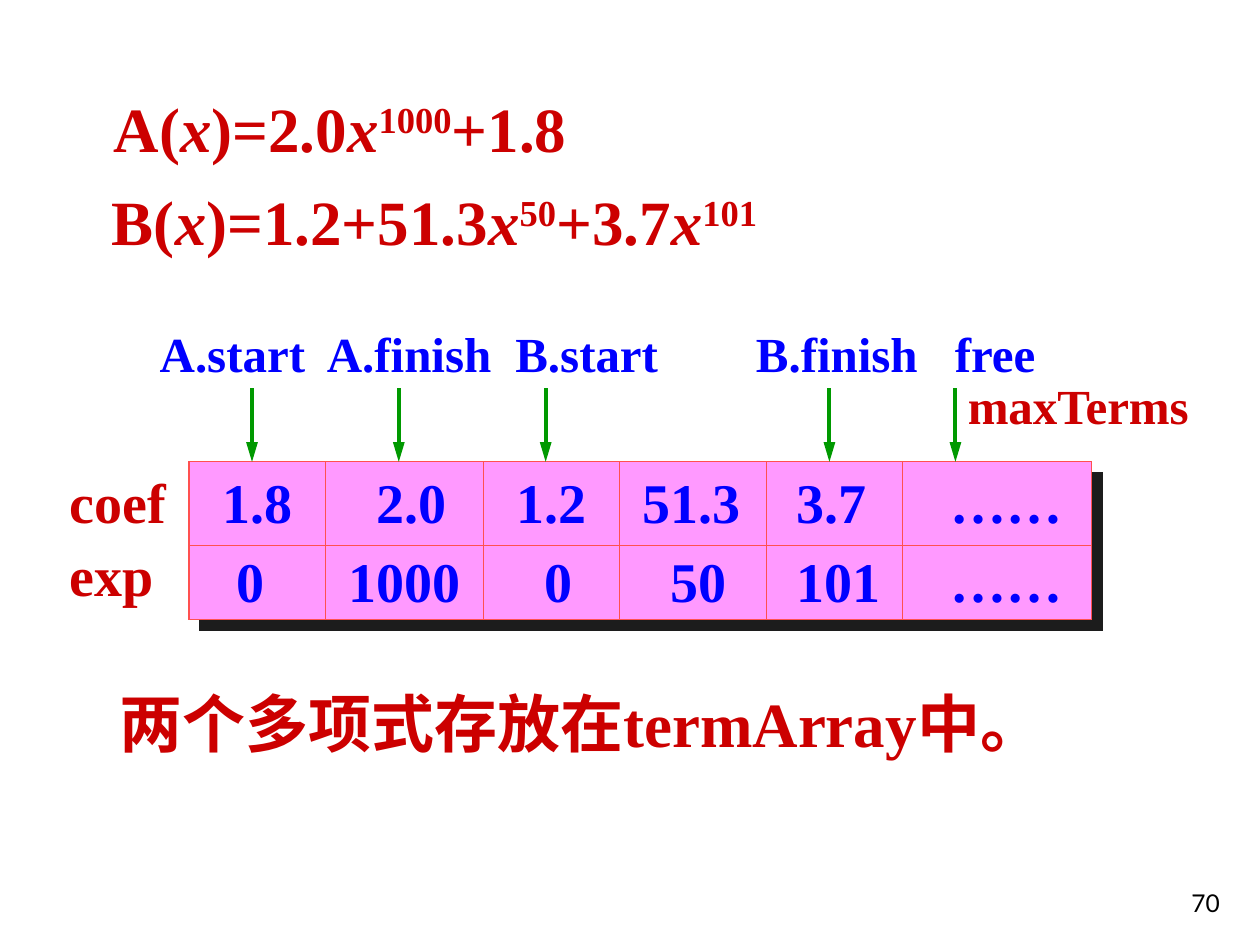
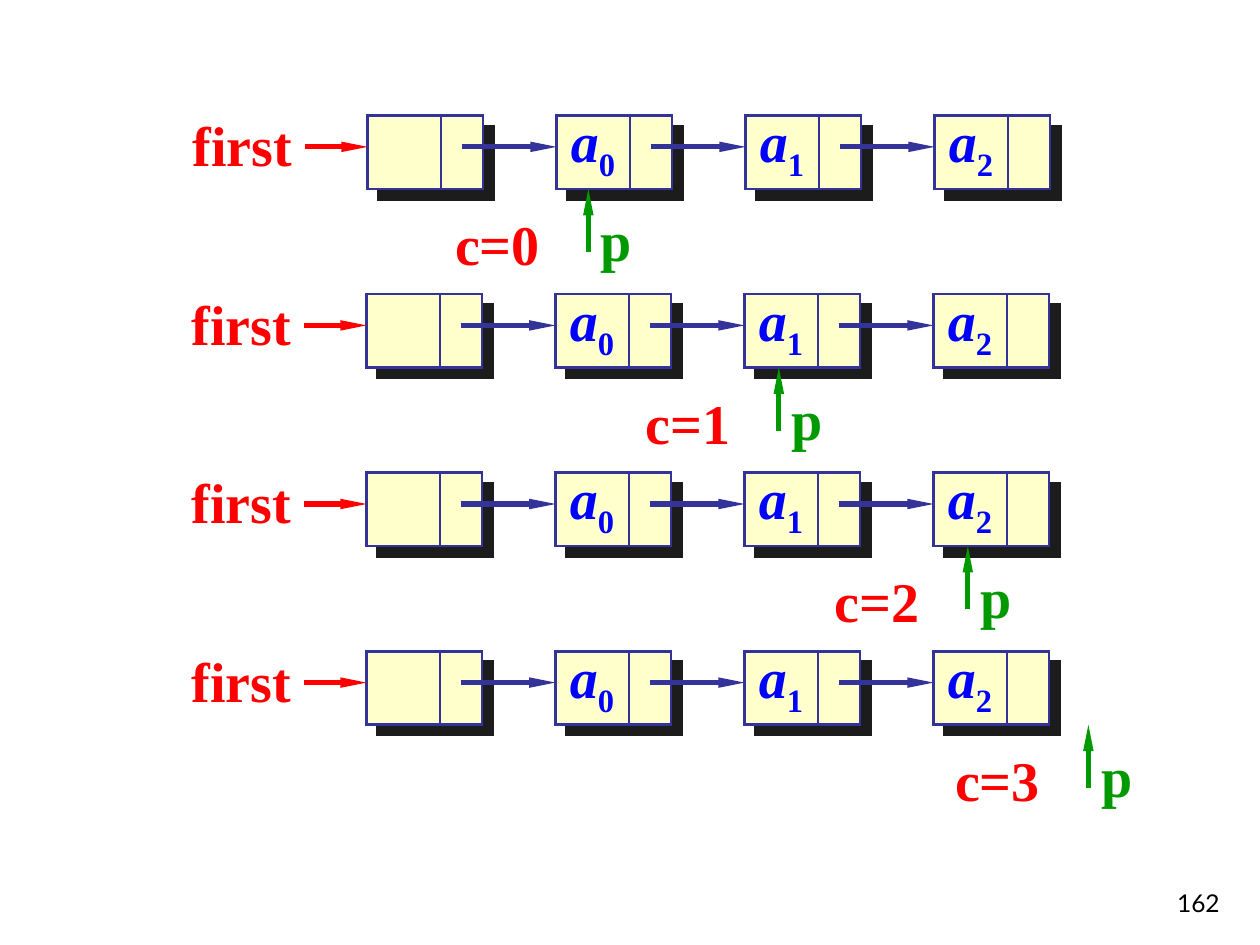
"""Build two slides on polynomial storage and linked list traversal."""
from dataclasses import dataclass, replace
from itertools import accumulate

from lxml.etree import SubElement
from pptx import Presentation
from pptx.dml.color import RGBColor
from pptx.enum.shapes import MSO_CONNECTOR, MSO_SHAPE
from pptx.enum.text import MSO_ANCHOR, MSO_AUTO_SIZE, PP_ALIGN
from pptx.oxml.ns import qn
from pptx.util import Cm, Pt

SERIF, SANS = "Times New Roman", "Lato"
CRIMSON, RED, BLUE, GREEN = "CC0000", "FF0000", "0000FF", "009900"
NAVY, CREAM, PINK, CORAL = "333399", "FFFFCC", "FF99FF", "FF5050"
SHADOW, BLACK = "1C1C1C", "000000"


@dataclass(frozen=True)
class Style:
    """Text format of one run."""
    size: float
    color: str
    italic: bool = False
    base: int = 0
    bold: bool = True
    font: str = SERIF


@dataclass(frozen=True)
class Box:
    """Place of an object in centimetres."""
    x: float
    y: float
    w: float
    h: float

    def lengths(self) -> list:
        """Return the place as lengths."""
        return [Cm(v) for v in (self.x, self.y, self.w, self.h)]


@dataclass(frozen=True)
class Arrow:
    """Line format with an optional arrowhead width."""
    color: str
    width: float
    head: str = ""


@dataclass(frozen=True)
class Step:
    """One traversal state: the counter, the list's left edge and p."""
    count: int
    left: float
    p_x: float


def rgb(color: str) -> RGBColor:
    """Turn a hex string into a colour."""
    return RGBColor.from_string(color)


def set_all(obj, values: dict) -> None:
    """Set each attribute from a dict."""
    for name, value in values.items():
        setattr(obj, name, value)


def add_runs(p, runs: list) -> None:
    """Fill a paragraph with (text, style) runs."""
    for text, st in runs:
        r = p.add_run()
        r.text = text
        set_all(r.font, {"name": st.font, "size": Pt(st.size),
                         "bold": st.bold, "italic": st.italic})
        r.font.color.rgb = rgb(st.color)
        if st.base:
            r.font._element.set("baseline", str(st.base * 1000))


def add_text(s, box: Box, paras: list, align=PP_ALIGN.LEFT, anchor=MSO_ANCHOR.TOP,
             wrap: bool = False, before: int = 20, lines: float = 0,
             tabs: tuple = ()) -> None:
    """Add a text box with percent spacing and tab stops per paragraph."""
    tf = s.shapes.add_textbox(*box.lengths()).text_frame
    set_all(tf, {"word_wrap": wrap, "vertical_anchor": anchor,
                 "auto_size": MSO_AUTO_SIZE.SHAPE_TO_FIT_TEXT})
    for i, runs in enumerate(paras):
        p = tf.add_paragraph() if i else tf.paragraphs[0]
        p.alignment = align
        if lines:
            p.line_spacing = lines
        pPr = p._p.get_or_add_pPr()
        gap = SubElement(pPr, qn("a:spcBef"))
        SubElement(gap, qn("a:spcPct"), val=str(before * 1000))
        if tabs:
            stops = SubElement(pPr, qn("a:tabLst"))
            for x in tabs[i]:
                SubElement(stops, qn("a:tab"), pos=str(int(Cm(x))), algn="l")
        add_runs(p, runs)


def add_label(s, box: Box, runs: list) -> None:
    """Add a centred one-line label."""
    add_text(s, box, [runs], PP_ALIGN.CENTER, MSO_ANCHOR.MIDDLE)


def add_line(s, x1: float, y1: float, x2: float, y2: float, look: Arrow) -> None:
    """Add a straight line, with an arrowhead if the look has one."""
    c = s.shapes.add_connector(MSO_CONNECTOR.STRAIGHT, *map(Cm, (x1, y1, x2, y2)))
    c.line.color.rgb = rgb(look.color)
    c.line.width = Pt(look.width)
    spPr = c._element.spPr
    if look.head:
        SubElement(spPr.find(qn("a:ln")), qn("a:tailEnd"),
                   type="triangle", w=look.head, len="lg")
    SubElement(spPr, qn("a:effectLst"))


def add_panel(s, box: Box, fill: str, line: str, width: float) -> None:
    """Add a sharp-cornered rectangle with a hard diagonal shadow."""
    sp = s.shapes.add_shape(MSO_SHAPE.RECTANGLE, *box.lengths())
    sp.fill.solid()
    sp.fill.fore_color.rgb = rgb(fill)
    sp.line.color.rgb = rgb(line)
    sp.line.width = Pt(width)
    sp.shadow.inherit = False
    spPr = sp._element.spPr
    SubElement(spPr.find(qn("a:ln")), qn("a:miter"), lim="800000")
    shadow = SubElement(spPr.find(qn("a:effectLst")), qn("a:outerShdw"), blurRad="0",
                        dist=str(int(Pt(8.5))), dir="2700000", algn="ctr",
                        rotWithShape="0")
    SubElement(shadow, qn("a:srgbClr"), val=SHADOW)


def new_slide(prs, number: int):
    """Add a blank slide with its page number."""
    s = prs.slides.add_slide(prs.slide_layouts[6])
    style = Style(14, BLACK, bold=False, font=SANS)
    add_text(s, Box(19.56, 17.35, 5.28, 1.27), [[(str(number), style)]],
             PP_ALIGN.RIGHT, MSO_ANCHOR.BOTTOM, wrap=True, before=0)
    return s


def draw_term_array(s, box: Box, widths: tuple, split: float) -> None:
    """Draw the term array: panel, field names, values and grid lines."""
    add_panel(s, box, PINK, CORAL, 0.75)
    names = [[(name, Style(32, CRIMSON))] for name in ("coef", "exp")]
    add_text(s, Box(1.15, box.y, 2.49, 3.12), names, before=10)
    rows = (("1.8", "2.0", "1.2", "51.3", "3.7", "……"),
            (" 0", "1000", "0", "50", "101", "……"))
    add_text(s, Box(4.24, box.y, 17.6, 3.28),
             [[("\t".join(row), Style(32, BLUE))] for row in rows],
             tabs=((3.1, 5.93, 8.47, 11.57, 14.68), (2.54, 6.49, 9.03, 11.57, 14.68)))
    grid = Arrow(CORAL, 0.75)
    add_line(s, box.x, box.y + split, box.x + box.w, box.y + split, grid)
    for dx in accumulate(widths):
        add_line(s, box.x + dx, box.y, box.x + dx, box.y + box.h, grid)


def term_array_slide(prs) -> None:
    """Show two polynomials stored in one array."""
    s = new_slide(prs, 70)
    up = Style(36, CRIMSON)
    x = ("x", replace(up, italic=True))
    power = replace(up, base=30)
    formulas = [
        [(" ", Style(40, CRIMSON, True)), ("A(", up), x, (")=2.0", up), x,
         ("1000", power), ("+1.8", up)],
        [(" ", x[1]), ("B(", up), x, (")=1.2+51.3", up), x, ("50", power),
         ("+3.7", up), x, ("101", power)],
    ]
    add_text(s, Box(1.69, 1.45, 17.35, 3.99), formulas, wrap=True, lines=1.05)
    add_text(s, Box(1.9, 13.67, 20.3, 1.8),
             [[(" ", Style(32, CRIMSON)), ("两个多项式存放在termArray中。", up)]])
    pointers = ("A.start", "A.finish", "B.start", "B.finish", "free")
    add_text(s, Box(2.97, 6.4, 18.36, 1.45), [[("\t".join(pointers), Style(28, BLUE))]],
             tabs=((3.37, 7.17, 12.02, 16.03),))
    top = 9.31
    draw_term_array(s, Box(3.81, top, 18.2, 3.18), (2.75, 3.18, 2.75, 2.96, 2.75), 1.69)
    for pointer_x in (5.08, 8.04, 11.0, 16.72, 19.26):
        add_line(s, pointer_x, 7.83, pointer_x, top, Arrow(GREEN, 2.25, "med"))
    add_text(s, Box(19.26, 7.44, 5.03, 1.45), [[("maxTerms", Style(28, CRIMSON))]])


def draw_list(s, y: float, step: Step) -> None:
    """Draw the linked list with its first and p pointers."""
    left, pitch, w, h = step.left, 3.81, 2.33, 1.48
    link_y, label_y = y + 0.63, y - 0.22
    for i in range(4):
        x = left + i * pitch
        add_panel(s, Box(x, y, w, h), CREAM, NAVY, 1.5)
        if i < 3:
            add_line(s, x + 1.9, link_y, x + pitch, link_y, Arrow(NAVY, 3, "sm"))
        add_line(s, x + 1.48, y, x + 1.48, y + h, Arrow(NAVY, 1.5))
        if i:
            add_label(s, Box(x, label_y, 1.47, 1.62),
                      [("a", Style(32, BLUE, True)), (str(i - 1), Style(32, BLUE, base=-25))])
    add_line(s, left - 1.27, link_y, left, link_y, Arrow(RED, 3, "sm"))
    add_label(s, Box(left - 3.78, label_y, 2.52, 1.6), [("first", Style(32, RED))])
    add_line(s, step.p_x, y + 2.75, step.p_x, y + h, Arrow(GREEN, 3, "sm"))
    add_label(s, Box(step.p_x, y + 1.69, 1.14, 1.6), [("p", Style(32, GREEN))])
    add_label(s, Box(step.p_x - 2.95, y + 1.76, 2.24, 1.62),
              [(f"c={step.count}", Style(32, RED))])


def traversal_slide(prs) -> None:
    """Show p moving along the list until it runs off the end."""
    s = new_slide(prs, 162)
    steps = (Step(0, 7.41, 11.86), Step(1, 7.39, 15.7),
             Step(2, 7.39, 19.51), Step(3, 7.39, 21.94))
    for step in steps:
        draw_list(s, 2.33 + 3.6 * step.count, step)


def main() -> None:
    """Build and save the presentation."""
    prs = Presentation()
    set_all(prs, {"slide_width": Cm(25.4), "slide_height": Cm(19.05)})
    term_array_slide(prs)
    traversal_slide(prs)
    prs.save("out.pptx")


main()
